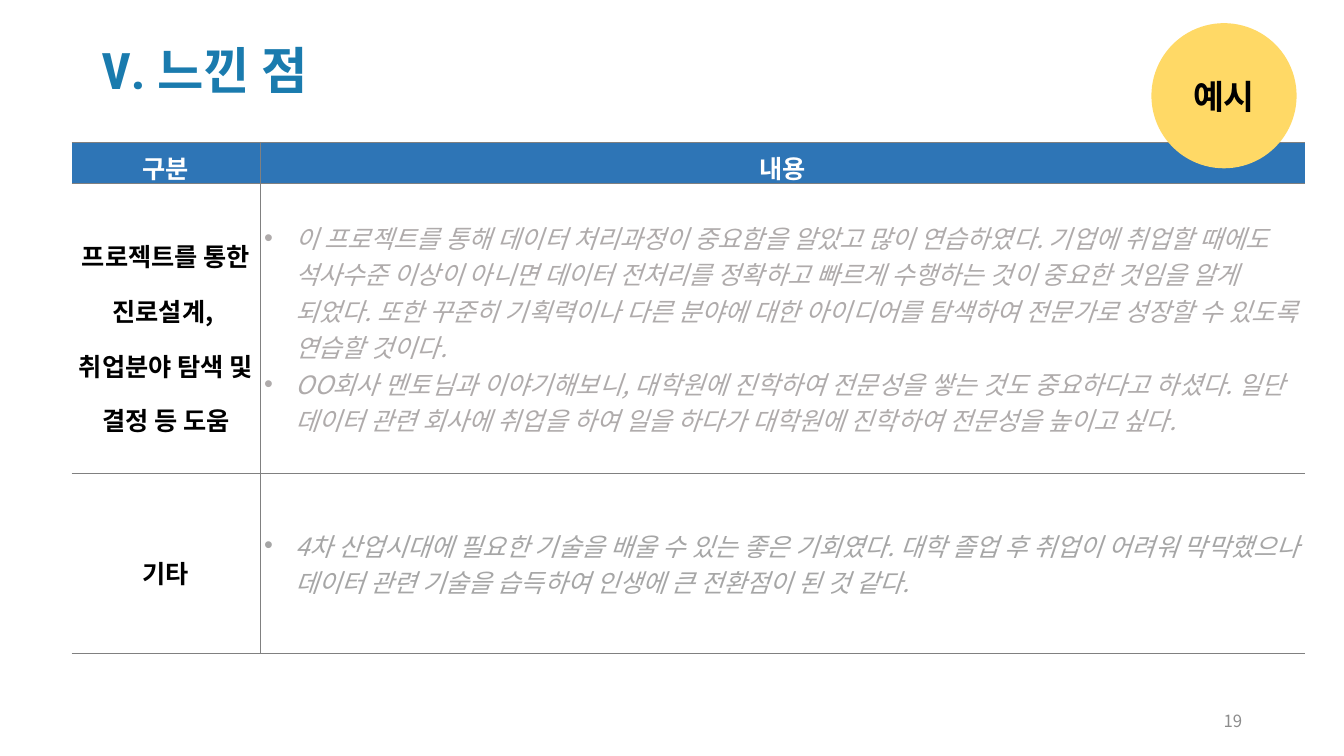
from dataclasses import dataclass

from lxml import etree
from pptx import Presentation
from pptx.dml.color import RGBColor
from pptx.enum.shapes import MSO_SHAPE
from pptx.enum.text import MSO_ANCHOR, PP_ALIGN
from pptx.oxml.ns import qn
from pptx.util import Inches, Pt

LEFT, CENTER, RIGHT = PP_ALIGN.LEFT, PP_ALIGN.CENTER, PP_ALIGN.RIGHT
TOP, MIDDLE = MSO_ANCHOR.TOP, MSO_ANCHOR.MIDDLE
OVAL = MSO_SHAPE.OVAL

BLACK = RGBColor(0x00, 0x00, 0x00)
WHITE = RGBColor(0xFF, 0xFF, 0xFF)
TITLE_BLUE = RGBColor(0x1A, 0x7B, 0xAE)
HEADER_BLUE = RGBColor(0x2E, 0x75, 0xB6)
BADGE_YELLOW = RGBColor(0xFF, 0xD9, 0x66)
BORDER_GRAY = RGBColor(0x80, 0x80, 0x80)
BODY_GRAY = RGBColor(0xAF, 0xAB, 0xAB)
OTHER_GRAY = RGBColor(0xA6, 0xA6, 0xA6)
NUMBER_GRAY = RGBColor(0x8C, 0x8C, 0x8C)

SANS = "Noto Sans CJK KR"
CONDENSED = "Roboto Condensed"
COLUMN_WIDTHS = (1.87, 10.36)
ROW_HEIGHTS = (0.41, 2.88, 1.78)


@dataclass(frozen=True)
class TextStyle:
    size: float
    color: RGBColor
    font: str = SANS
    bold: bool = False
    italic: bool = False
    align: PP_ALIGN = LEFT
    spacing: float = 1.0
    bullet: bool = False


@dataclass(frozen=True)
class TextBox:
    left: float
    top: float
    width: float
    height: float
    text: str
    style: TextStyle
    anchor: MSO_ANCHOR


@dataclass(frozen=True)
class TableCell:
    paragraphs: tuple[str, ...]
    style: TextStyle


HEADER = TextStyle(18, WHITE, bold=True, align=CENTER, spacing=1.2)
LABEL = TextStyle(18, BLACK, bold=True, align=CENTER, spacing=1.5)
BODY = TextStyle(18, BODY_GRAY, italic=True, bullet=True)
OTHER = TextStyle(18, OTHER_GRAY, italic=True, bullet=True)
BADGE = TextStyle(24, BLACK, bold=True, align=CENTER)

TITLE = TextBox(0.91, 0.34, 7.44, 0.71, "Ⅴ. 느낀 점",
                TextStyle(36, TITLE_BLUE, CONDENSED, bold=True), TOP)
PAGE_NUMBER = TextBox(9.42, 6.95, 3, 0.4, "19",
                      TextStyle(12, NUMBER_GRAY, align=RIGHT), MIDDLE)

ROWS = (
    (TableCell(("구분",), HEADER), TableCell(("내용",), HEADER)),
    (
        TableCell(("프로젝트를 통한 진로설계, ", "취업분야 탐색 및 결정 등 도움"), LABEL),
        TableCell((
            "이 프로젝트를 통해 데이터 처리과정이 중요함을 알았고 많이 연습하였다. "
            "기업에 취업할 때에도 석사수준 이상이 아니면 데이터 전처리를 정확하고 "
            "빠르게 수행하는 것이 중요한 것임을 알게 되었다. 또한 꾸준히 기획력이나 "
            "다른 분야에 대한 아이디어를 탐색하여 전문가로 성장할 수 있도록 연습할 것이다.",
            "OO회사 멘토님과 이야기해보니, 대학원에 진학하여 전문성을 쌓는 것도 "
            "중요하다고 하셨다. 일단 데이터 관련 회사에 취업을 하여 일을 하다가 "
            "대학원에 진학하여 전문성을 높이고 싶다.",
        ), BODY),
    ),
    (
        TableCell(("기타",), LABEL),
        TableCell((
            "4차 산업시대에 필요한 기술을 배울 수 있는 좋은 기회였다. 대학 졸업 후 "
            "취업이 어려워 막막했으나 데이터 관련 기술을 습득하여 인생에 큰 전환점이 "
            "된 것 같다.",
        ), OTHER),
    ),
)


def write_text(frame, paragraphs: tuple[str, ...], style: TextStyle) -> None:
    """Fill a text frame with equally styled paragraphs."""
    for index, text in enumerate(paragraphs):
        para = frame.paragraphs[0] if index == 0 else frame.add_paragraph()
        para.text = text
        para.alignment = style.align
        para.line_spacing = style.spacing
        font = para.font
        font.size, font.name = Pt(style.size), style.font
        font.bold, font.italic = style.bold, style.italic
        font.color.rgb = style.color
        # Hangul takes its typeface from the East Asian font
        properties = para._p.get_or_add_pPr()
        defaults = properties.find(qn("a:defRPr"))
        etree.SubElement(defaults, qn("a:ea"), typeface=style.font)
        if style.bullet:
            properties.set("marL", str(Inches(0.31)))
            properties.set("indent", str(Inches(-0.31)))
            bullet_font = etree.Element(qn("a:buFont"), typeface="Arial")
            bullet = etree.Element(qn("a:buChar"), char="•")
            defaults.addprevious(bullet_font)
            defaults.addprevious(bullet)


def add_text_box(page, item: TextBox) -> None:
    box = page.shapes.add_textbox(Inches(item.left), Inches(item.top),
                                  Inches(item.width), Inches(item.height))
    frame = box.text_frame
    frame.word_wrap = True
    frame.vertical_anchor = item.anchor
    write_text(frame, (item.text,), item.style)


def set_borders(cell, visible: str) -> None:
    """Draw thin gray lines on the named sides and clear the others."""
    properties = cell._tc.get_or_add_tcPr()
    for index, side in enumerate("LRTB"):
        line = etree.Element(qn(f"a:ln{side}"), w=str(Pt(0.5)))
        if side in visible:
            fill = etree.SubElement(line, qn("a:solidFill"))
            etree.SubElement(fill, qn("a:srgbClr"), val=str(BORDER_GRAY))
        else:
            etree.SubElement(line, qn("a:noFill"))
        properties.insert(index, line)


def add_reflection_table(page) -> None:
    table = page.shapes.add_table(
        len(ROW_HEIGHTS), len(COLUMN_WIDTHS), Inches(0.71), Inches(1.41),
        Inches(sum(COLUMN_WIDTHS)), Inches(sum(ROW_HEIGHTS))).table
    table.first_row = table.horz_banding = False
    for column, width in zip(table.columns, COLUMN_WIDTHS):
        column.width = Inches(width)
    for row, height in zip(table.rows, ROW_HEIGHTS):
        row.height = Inches(height)
    for row_index, row in enumerate(ROWS):
        for column_index, item in enumerate(row):
            cell = table.cell(row_index, column_index)
            cell.margin_left = Inches(0.04 if item.style.bullet else 0)
            cell.margin_right = cell.margin_top = cell.margin_bottom = 0
            cell.vertical_anchor = MIDDLE
            if row_index == 0:
                cell.fill.solid()
                cell.fill.fore_color.rgb = HEADER_BLUE
            else:
                cell.fill.background()
            set_borders(cell, "RTB" if column_index == 0 else "LTB")
            write_text(cell.text_frame, item.paragraphs, item.style)


def add_badge(page) -> None:
    badge = page.shapes.add_shape(OVAL, Inches(11.42), Inches(0.23),
                                  Inches(1.44), Inches(1.44))
    badge.shadow.inherit = False
    badge.fill.solid()
    badge.fill.fore_color.rgb = BADGE_YELLOW
    badge.line.fill.background()
    badge.text_frame.vertical_anchor = MIDDLE
    write_text(badge.text_frame, ("예시",), BADGE)


def main() -> None:
    deck = Presentation()
    deck.slide_width, deck.slide_height = Inches(13.33), Inches(7.5)
    page = deck.slides.add_slide(deck.slide_layouts[6])
    # Title, table and page number, with the badge on top
    add_text_box(page, TITLE)
    add_reflection_table(page)
    add_text_box(page, PAGE_NUMBER)
    add_badge(page)
    deck.save("out.pptx")


if __name__ == "__main__":
    main()
